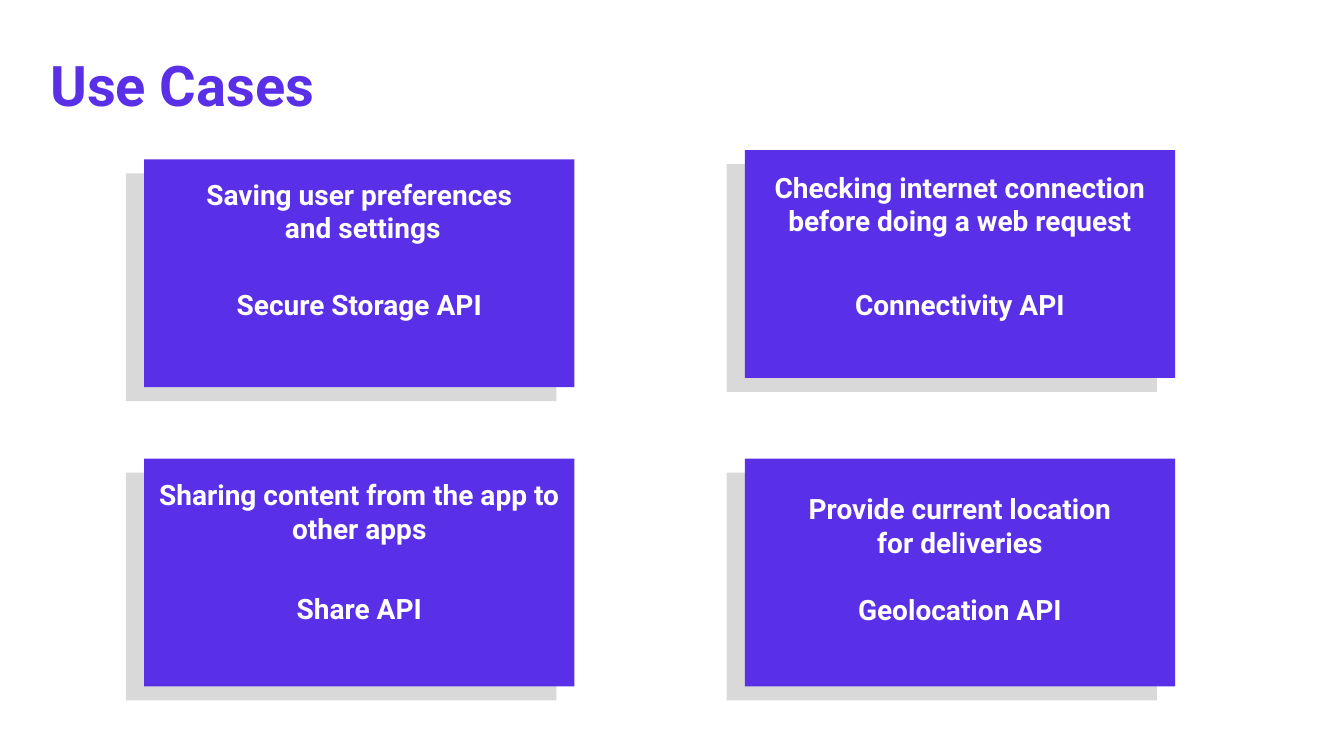
"""Build the "Use Cases" slide with four API cards."""
from pptx import Presentation
from pptx.dml.color import RGBColor
from pptx.enum.shapes import MSO_SHAPE
from pptx.enum.text import MSO_AUTO_SIZE, PP_ALIGN
from pptx.util import Pt

PURPLE = RGBColor(0x59, 0x2F, 0xE8)
GREY = RGBColor(0xD9, 0xD9, 0xD9)
WHITE = RGBColor(0xFF, 0xFF, 0xFF)
FONT = "Roboto"
CARD_W, CARD_H = 307.4, 162.7
SHADE_DX, SHADE_DY = -13, 10
LEFT_X, RIGHT_X = 103, 532
CARDS = [
    (LEFT_X, 113.8, 123.1, ["Saving user preferences", " and settings"],
     201.6, "Secure Storage API"),
    (RIGHT_X, 107.3, 118.1, ["Checking internet connection before doing a web request"],
     201.6, "Connectivity API"),
    (LEFT_X, 327.6, 337.7, ["Sharing content from the app to other apps"],
     419, "Share API"),
    (RIGHT_X, 327.6, 347.8, ["Provide current location", "for deliveries"],
     419.8, "Geolocation API"),
]


def add_box(s, x, y, color):
    """Add a plain filled rectangle of card size."""
    sp = s.shapes.add_shape(MSO_SHAPE.RECTANGLE, Pt(x), Pt(y), Pt(CARD_W), Pt(CARD_H))
    sp.shadow.inherit = False
    sp.fill.solid()
    sp.fill.fore_color.rgb = color
    sp.line.fill.background()


def add_text(s, x, y, w, h, lines, size=20, color=WHITE, align=PP_ALIGN.CENTER):
    """Add a bold text box with one paragraph per line."""
    tf = s.shapes.add_textbox(Pt(x), Pt(y), Pt(w), Pt(h)).text_frame
    tf.word_wrap = True
    tf.auto_size = MSO_AUTO_SIZE.SHAPE_TO_FIT_TEXT
    tf.text = "\n".join(lines)
    for p in tf.paragraphs:
        p.alignment = align
        p.font.name = FONT
        p.font.size = Pt(size)
        p.font.bold = True
        p.font.color.rgb = color


def add_card(s, x, y, case_y, case, api_y, api):
    """Add a card with its offset backing, use case and API name."""
    add_box(s, x + SHADE_DX, y + SHADE_DY, GREY)
    add_box(s, x, y, PURPLE)
    add_text(s, x, case_y, CARD_W, 55.4, case)
    add_text(s, x, api_y, CARD_W, 31.5, [api])


def main():
    """Create and save the presentation."""
    prs = Presentation()
    prs.slide_width, prs.slide_height = Pt(960), Pt(540)
    s = prs.slides.add_slide(prs.slide_layouts[6])
    add_text(s, 28.8, 32.4, 627, 55.4, ["Use Cases"], 40, PURPLE, PP_ALIGN.LEFT)
    for card in CARDS:
        add_card(s, *card)
    prs.save("out.pptx")


if __name__ == "__main__":
    main()
